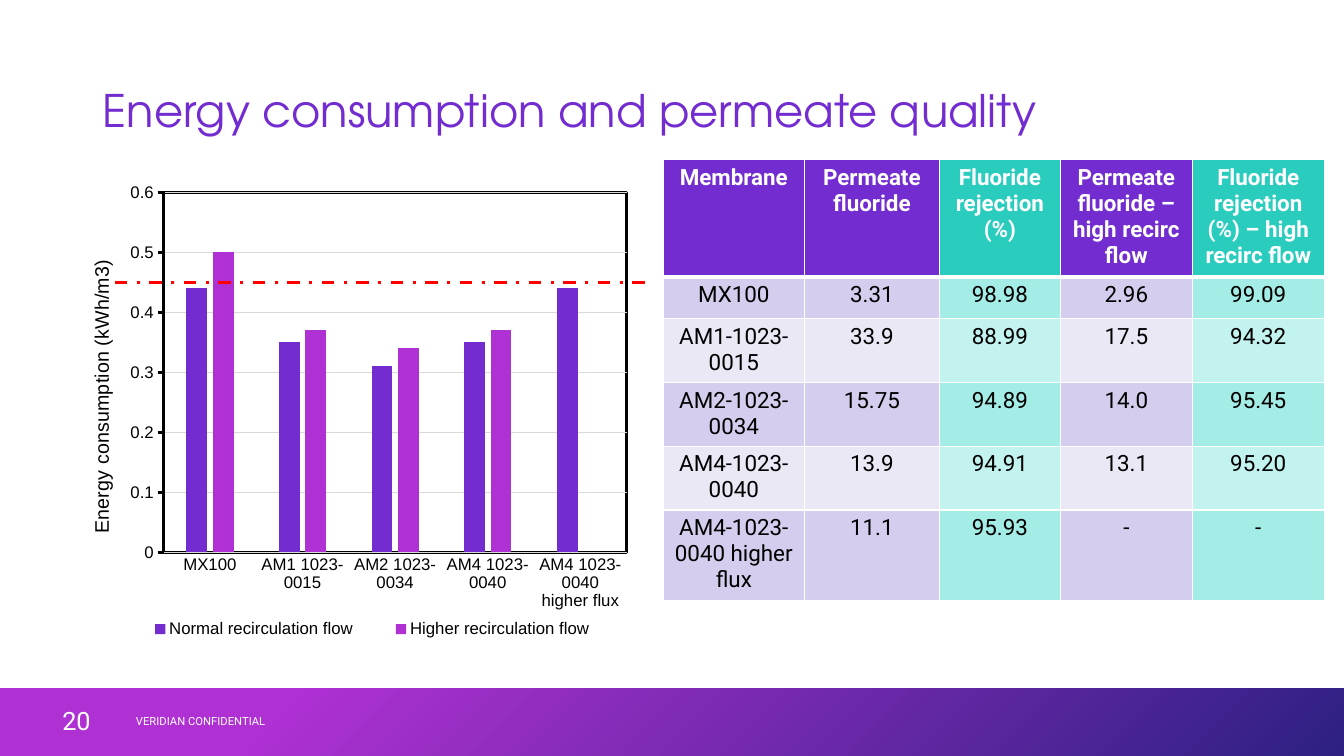
from pptx import Presentation
from pptx.chart.data import CategoryChartData
from pptx.dml.color import RGBColor
from pptx.enum.chart import XL_CHART_TYPE, XL_LEGEND_POSITION, XL_TICK_MARK
from pptx.enum.dml import MSO_LINE
from pptx.enum.shapes import MSO_CONNECTOR, MSO_SHAPE
from pptx.enum.text import MSO_ANCHOR, PP_ALIGN
from pptx.oxml import parse_xml
from pptx.oxml.ns import nsdecls
from pptx.util import Inches, Pt

deck = Presentation()
deck.slide_width, deck.slide_height = Inches(13.33), Inches(7.5)
WIDE, HIGH = deck.slide_width / 100, deck.slide_height / 100


def style(font, size, tint, face, bold=False):
    font.size, font.name, font.bold = Pt(size), face, bold
    font.color.rgb = RGBColor.from_string(tint)


def spot(left, top, width, height):
    """Turn percentages of the slide into lengths."""
    return int(left * WIDE), int(top * HIGH), int(width * WIDE), int(height * HIGH)


PURPLE, PINK, TEAL, NAVY = "722CCF", "AF31D3", "2ACCBE", "2D2082"
WHITE, BLACK, GREY, RED = "FFFFFF", "000000", "D9D9D9", "FF0000"
hue = RGBColor.from_string

slide = deck.slides.add_slide(deck.slide_layouts[5])
shapes = slide.shapes

# Title
title = shapes.title
title.left, title.top, title.width, title.height = spot(6.9, 5.33, 86.25, 19.33)
title.text_frame.vertical_anchor = MSO_ANCHOR.MIDDLE
para = title.text_frame.paragraphs[0]
para.alignment, para.line_spacing = PP_ALIGN.LEFT, 0.9
run = para.add_run()
run.text = "Energy consumption and permeate quality"
style(run.font, 32, PURPLE, "TeX Gyre Adventor")

# Footer band
band = shapes.add_shape(MSO_SHAPE.RECTANGLE, *spot(0, 91.07, 100, 8.93))
band.shadow.inherit = False
band.line.fill.background()
band.fill.gradient()
band.fill.gradient_angle = 315
for stop, tint, place in zip(band.fill.gradient_stops, (PINK, NAVY), (0.21, 1)):
    stop.color.rgb, stop.position = hue(tint), place

for text, size, left, width in (("VERIDIAN CONFIDENTIAL", 8, 9.38, 33.75),
                                ("20", 18, 3.9, 5.4)):
    frame = shapes.add_textbox(*spot(left, 92.67, width, 5.33)).text_frame
    frame.word_wrap, frame.vertical_anchor = True, MSO_ANCHOR.MIDDLE
    para = frame.paragraphs[0]
    para.space_after = Pt(6)
    run = para.add_run()
    run.text = text
    style(run.font, size, WHITE, "Roboto")

# Table of permeate quality
rows = (
    ("Membrane", "Permeate fluoride", "Fluoride rejection (%)",
     "Permeate fluoride – high recirc flow", "Fluoride rejection (%) – high recirc flow"),
    ("MX100", "3.31", "98.98", "2.96", "99.09"),
    ("AM1-1023-0015", "33.9", "88.99", "17.5", "94.32"),
    ("AM2-1023-0034", "15.75", "94.89", "14.0", "95.45"),
    ("AM4-1023-0040", "13.9", "94.91", "13.1", "95.20"),
    ("AM4-1023-0040 higher flux", "11.1", "95.93", "-", "-"),
)
fills = {"head": (PURPLE, TEAL), "odd": ("D5CDED", "A4ECE6"), "even": ("EBE8F6", "C2F3EF")}
table = shapes.add_table(6, 5, *spot(49.35, 21.1, 49.2, 32.8)).table
for col, width in zip(table.columns, (10.5, 10.05, 9, 9.82, 9.82)):
    col.width = int(width * WIDE)
for y, row in enumerate(rows):
    table.rows[y].height = int(5.47 * HIGH)
    kind = "head" if y == 0 else "odd" if y % 2 else "even"
    for x, text in enumerate(row):
        cell = table.cell(y, x)
        cell.fill.solid()
        cell.fill.fore_color.rgb = hue(fills[kind][x in (2, 4)])
        para = cell.text_frame.paragraphs[0]
        para.alignment = PP_ALIGN.CENTER
        run = para.add_run()
        run.text = text
        style(run.font, 16, BLACK if y else WHITE, "Roboto", y == 0)
        for spot_no, side in enumerate("LRTB"):
            thick = (y, side) in ((0, "B"), (1, "T"))
            cell._tc.get_or_add_tcPr().insert(spot_no, parse_xml(
                f'<a:ln{side} {nsdecls("a")} w="{Pt(3 if thick else 1)}"><a:solidFill>'
                f'<a:srgbClr val="{WHITE}"/></a:solidFill></a:ln{side}>'))

# Chart of energy use
data = CategoryChartData()
data.categories = ("MX100", "AM1 1023-0015", "AM2 1023-0034", "AM4 1023-0040",
                   "AM4 1023-0040 higher flux")
data.add_series("Normal recirculation flow", (0.44, 0.35, 0.31, 0.35, 0.44))
data.add_series("Higher recirculation flow", (0.5, 0.37, 0.34, 0.37, None))
chart = shapes.add_chart(XL_CHART_TYPE.COLUMN_CLUSTERED,
                         *spot(4.95, 22.93, 42.53, 63.47), data).chart
style(chart.font, 10, BLACK, "Roboto")
chart.has_title = False
plot = chart.plots[0]
plot.gap_width, plot.overlap, plot.vary_by_categories = 219, -27, False
for bars, tint in zip(plot.series, (PURPLE, PINK)):
    bars.format.fill.solid()
    bars.format.fill.fore_color.rgb = hue(tint)

base, scale = chart.category_axis, chart.value_axis
scale.minimum_scale, scale.maximum_scale, scale.major_unit = 0, 0.6, 0.1
scale.has_major_gridlines = True
for axis, tick in ((base, XL_TICK_MARK.NONE), (scale, XL_TICK_MARK.OUTSIDE)):
    axis.major_tick_mark, axis.minor_tick_mark = tick, XL_TICK_MARK.NONE
    style(axis.tick_labels.font, 12, BLACK, "Arial")
for line, tint, width in ((base.format.line, GREY, 0.75), (scale.format.line, BLACK, 2),
                          (scale.major_gridlines.format.line, GREY, 0.75)):
    line.color.rgb, line.width = hue(tint), Pt(width)
run = scale.axis_title.text_frame.paragraphs[0].add_run()
run.text = "Energy consumption (kWh/m3)"
style(run.font, 14, BLACK, "Arial")
chart.has_legend = True
chart.legend.position = XL_LEGEND_POSITION.BOTTOM
chart.legend.include_in_layout = False
style(chart.legend.font, 12, BLACK, "Arial")

# Fixed places inside the chart, as shares of its size
area = chart._chartSpace.xpath("c:chart/c:plotArea")[0]
for part, index, inner, box in (
        (area, 0, '<c:layoutTarget val="inner"/>', (0.17, 0.04, 0.81, 0.75)),
        (chart.legend._element, 1, "", (0.09, 0.92, 0.89, 0.06))):
    for old in part.xpath("c:layout"):
        part.remove(old)
    modes = "".join(f'<c:{key}Mode val="edge"/>' for key in "xy")
    sizes = "".join(f'<c:{key} val="{size}"/>' for key, size in zip("xywh", box))
    part.insert(index, parse_xml(f'<c:layout {nsdecls("c")}><c:manualLayout>{inner}{modes}'
                                 f'{sizes}</c:manualLayout></c:layout>'))
area.append(parse_xml(
    f'<c:spPr {nsdecls("c", "a")}><a:noFill/><a:ln w="{Pt(2)}"><a:solidFill>'
    f'<a:srgbClr val="{BLACK}"/></a:solidFill></a:ln></c:spPr>'))

# Energy limit
left, top, width, _ = spot(8.55, 37.33, 39.45, 0)
limit = shapes.add_connector(MSO_CONNECTOR.STRAIGHT, left, top, left + width, top)
limit.line.color.rgb, limit.line.width = hue(RED), Pt(2.25)
limit.line.dash_style = MSO_LINE.DASH_DOT
limit._element.spPr.append(parse_xml(f'<a:effectLst {nsdecls("a")}/>'))

deck.save("out.pptx")
